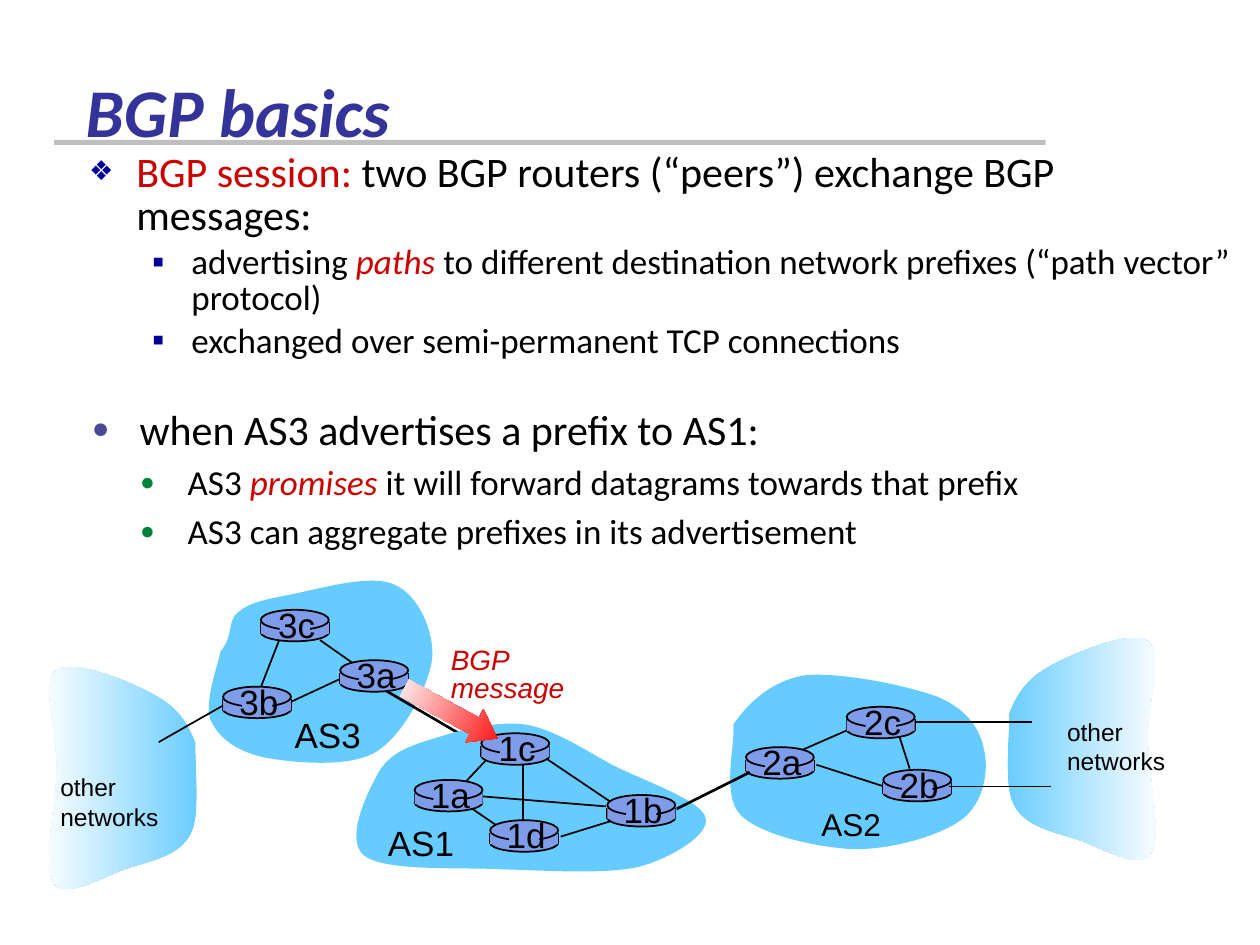
from dataclasses import dataclass
from typing import NamedTuple

from lxml import etree
from pptx import Presentation
from pptx.dml.color import RGBColor
from pptx.enum.shapes import MSO_CONNECTOR, MSO_SHAPE
from pptx.enum.text import MSO_ANCHOR, MSO_AUTO_SIZE, PP_ALIGN
from pptx.oxml.ns import qn
from pptx.util import Cm, Pt

RECT, OVAL, LEFT_ARROW = MSO_SHAPE.RECTANGLE, MSO_SHAPE.OVAL, MSO_SHAPE.LEFT_ARROW
STRAIGHT = MSO_CONNECTOR.STRAIGHT
BOTTOM, TOP = MSO_ANCHOR.BOTTOM, MSO_ANCHOR.TOP
LEFT, CENTER = PP_ALIGN.LEFT, PP_ALIGN.CENTER
NO_FIT = MSO_AUTO_SIZE.NONE

UNIT = 2.54  # one layout unit in cm; the slide is 10 by 7.5 units


@dataclass(frozen=True)
class Theme:
    title: str = "333399"
    rule: str = "BFBFBF"
    text: str = "000000"
    accent: str = "CC0000"
    cloud: str = "66CCFF"
    router: str = "7E9CE8"
    arrow: str = "FF0000"
    fade: str = "FFFFFF"
    list_font: str = "Calibri"
    label_font: str = "Arial"
    title_size: float = 39
    level_sizes: tuple = (24, 20)
    label_size: float = 20
    as2_size: float = 18
    message_size: float = 16
    other_size: float = 14


class Piece(NamedTuple):
    text: str
    emphasis: bool = False
    italic: bool = False


class Bullet(NamedTuple):
    char: str
    color: str
    percent: int
    indent: Cm
    hang: Cm


class Item(NamedTuple):
    level: int
    pieces: list


class Router(NamedTuple):
    name: str
    x: float
    y: float


class Link(NamedTuple):
    x1: float
    y1: float
    x2: float
    y2: float
    width: float = 1


class Label(NamedTuple):
    lines: tuple
    box: tuple
    size: float
    color: str = Theme.text
    italic: bool = False
    align: PP_ALIGN = LEFT
    spacing: float = 1


THEME = Theme()

SESSION_BULLETS = (Bullet("❖", "000099", 65, Cm(0.95), Cm(0.95)),
                   Bullet("▪", "000099", 100, Cm(2.06), Cm(0.79)))
PREFIX_BULLETS = (Bullet("●", "4A4A97", 70, Cm(0.96), Cm(0.96)),
                  Bullet("●", "00843C", 70, Cm(1.93), Cm(0.96)))
SESSION_LIST = [
    Item(0, [Piece("BGP session: ", True), Piece("two BGP routers (“peers”) exchange BGP messages:")]),
    Item(1, [Piece("advertising "), Piece("paths ", True, True),
             Piece("to different destination network prefixes (“path vector” protocol)")]),
    Item(1, [Piece("exchanged over semi-permanent TCP connections")]),
]
PREFIX_LIST = [
    Item(0, [Piece("when AS3 advertises a prefix to AS1:")]),
    Item(1, [Piece("AS3 "), Piece("promises", True, True),
             Piece(" it will forward datagrams towards that prefix")]),
    Item(1, [Piece("AS3 can aggregate prefixes in its advertisement")]),
]

# Cloud outlines: the start point, then two control points and an end point per curve
OTHER_CLOUD = [(8.01, 5.67), (8.07, 5.51), (8.15, 5.39), (8.33, 5.29), (8.51, 5.19), (8.98, 4.99),
               (9.11, 5.09), (9.24, 5.18), (9.1, 5.59), (9.11, 5.87), (9.11, 6.16), (9.23, 6.65),
               (9.13, 6.78), (9.04, 6.91), (8.73, 6.72), (8.55, 6.66), (8.36, 6.6), (8.14, 6.56),
               (8.05, 6.39), (7.96, 6.23), (8.02, 5.82), (8.01, 5.67)]
AS2_CLOUD = [(5.82, 5.75), (5.93, 5.59), (6.12, 5.4), (6.39, 5.36), (6.66, 5.33), (7.2, 5.44),
             (7.44, 5.53), (7.68, 5.63), (7.78, 5.79), (7.81, 5.95), (7.85, 6.11), (7.81, 6.37),
             (7.64, 6.5), (7.47, 6.63), (7.09, 6.74), (6.79, 6.74), (6.5, 6.73), (6.04, 6.63),
             (5.88, 6.47), (5.72, 6.31), (5.84, 5.9), (5.82, 5.75)]
AS3_CLOUD = [(1.75, 5.17), (1.86, 5.04), (1.8, 4.93), (1.89, 4.86), (1.98, 4.78), (2.1, 4.76),
             (2.3, 4.72), (2.51, 4.68), (2.94, 4.55), (3.13, 4.64), (3.32, 4.72), (3.45, 5.01),
             (3.43, 5.23), (3.4, 5.45), (3.2, 5.84), (2.98, 5.97), (2.76, 6.1), (2.3, 6.05),
             (2.09, 6.01), (1.87, 5.96), (1.73, 5.85), (1.67, 5.71), (1.62, 5.57), (1.73, 5.28),
             (1.75, 5.17)]
AS1_CLOUD = [(3.01, 6.12), (3.11, 5.96), (3.28, 5.91), (3.48, 5.85), (3.67, 5.79), (3.94, 5.72),
             (4.17, 5.75), (4.4, 5.79), (4.62, 5.94), (4.86, 6.07), (5.09, 6.19), (5.57, 6.35),
             (5.6, 6.49), (5.64, 6.62), (5.33, 6.81), (5.07, 6.88), (4.8, 6.94), (4.36, 6.91),
             (4, 6.9), (3.64, 6.88), (3.06, 6.92), (2.89, 6.79), (2.73, 6.66), (2.92, 6.28),
             (3.01, 6.12)]

AS3_LINKS = [Link(2.31, 5.57, 2.74, 5.37), Link(2.81, 5.27, 2.54, 5.08), Link(2.22, 5.07, 2.06, 5.48),
             Link(3.06, 5.48, 3.83, 5.93, 1.5)]
INNER_LINKS = [Link(3.87, 6.02, 3.7, 6.2), Link(4.15, 6.06, 4.15, 6.56), Link(4.32, 6.01, 4.87, 6.38),
               Link(4.87, 6.51, 4.45, 6.64), Link(4.81, 6.4, 3.82, 6.32), Link(3.72, 6.4, 3.94, 6.55),
               Link(6.28, 5.99, 6.76, 5.78), Link(6.48, 6.07, 7.01, 6.24), Link(7.14, 5.85, 7.22, 6.1)]
OUTER_LINKS = [Link(7.26, 5.73, 8.19, 5.73, 0.75), Link(7.53, 6.24, 8.34, 6.24, 0.75),
               Link(1.77, 5.6, 1.26, 5.89), Link(5.37, 6.42, 5.95, 6.13, 1.5)]
ROUTERS = [Router("3b", 1.77, 5.45), Router("3c", 2.07, 4.84), Router("3a", 2.7, 5.24),
           Router("1c", 3.82, 5.82), Router("1a", 3.29, 6.19), Router("1d", 3.89, 6.51),
           Router("1b", 4.82, 6.31), Router("2a", 5.92, 5.93), Router("2c", 6.72, 5.61),
           Router("2b", 7.01, 6.11)]
LABELS = [Label(("AS3",), (2.24, 5.61, 0.73, 0.43), THEME.label_size),
          Label(("AS1",), (2.98, 6.47, 0.73, 0.43), THEME.label_size),
          Label(("AS2",), (6.42, 6.34, 0.67, 0.4), THEME.as2_size),
          Label(("other", "networks"), (8.37, 5.64, 0.98, 0.57), THEME.other_size),
          Label(("other", "networks"), (0.38, 6.08, 0.98, 0.57), THEME.other_size),
          Label(("BGP", "message"), (3.48, 5.09, 1.1, 0.56), THEME.message_size,
                THEME.accent, True, LEFT, 0.85)]


def units(*values: float) -> list:
    return [Cm(value * UNIT) for value in values]


def rgb(color: str) -> RGBColor:
    return RGBColor.from_string(color)


def apply(target, **formats) -> None:
    for key, value in formats.items():
        setattr(target, key, value)


def add_run(paragraph, text: str, color: str, **formats) -> None:
    run = paragraph.add_run()
    run.text = text
    apply(run.font, **formats)
    run.font.color.rgb = rgb(color)


def paint(shape, colors: tuple, outlined: bool = False) -> None:
    """Fill with one colour, or with a gradient from the first to the second."""
    shape.shadow.inherit = False
    if len(colors) == 1:
        shape.fill.solid()
        shape.fill.fore_color.rgb = rgb(colors[0])
    else:
        shape.fill.gradient()
        shape.fill.gradient_angle = 0
        for stop, color in zip(shape.fill.gradient_stops, colors):
            stop.color.rgb = rgb(color)
    if outlined:
        shape.line.color.rgb = rgb(THEME.text)
        shape.line.width = Pt(1)
    else:
        shape.line.fill.background()


def draw_shape(shapes, kind, box: tuple, *colors: str, outlined: bool = False):
    shape = shapes.add_shape(kind, *units(*box))
    paint(shape, colors, outlined)
    return shape


def draw_link(shapes, link: Link) -> None:
    connector = shapes.add_connector(STRAIGHT, *units(*link[:4]))
    connector.line.color.rgb = rgb(THEME.text)
    connector.line.width = Pt(link.width)
    etree.SubElement(connector.element.spPr, qn("a:effectLst"))


def draw_cloud(shapes, outline: list, *colors: str):
    builder = shapes.build_freeform(*units(*outline[0]))
    builder.add_line_segments([units(*point) for point in outline[1:]], close=True)
    cloud = builder.convert_to_shape()
    # Join every three segments into one Bezier curve
    segments = list(cloud.element.iter(qn("a:lnTo")))
    for i in range(0, len(segments), 3):
        curve = etree.Element(qn("a:cubicBezTo"))
        segments[i].addprevious(curve)
        for segment in segments[i:i + 3]:
            curve.append(segment[0])
            segment.getparent().remove(segment)
    paint(cloud, colors)
    return cloud


def draw_label(shapes, label: Label) -> None:
    frame = shapes.add_textbox(*units(*label.box)).text_frame
    frame.word_wrap = False
    for i, line in enumerate(label.lines):
        paragraph = frame.add_paragraph() if i else frame.paragraphs[0]
        apply(paragraph, alignment=label.align, line_spacing=label.spacing)
        add_run(paragraph, line, label.color, name=THEME.label_font,
                size=Pt(label.size), italic=label.italic)


def draw_router(shapes, router: Router) -> None:
    name, x, y = router
    parts = shapes.add_group_shape().shapes
    draw_shape(parts, OVAL, (x, y + 0.11, 0.54, 0.14), THEME.router, outlined=True)
    for side in (x, x + 0.54):
        draw_link(parts, Link(side, y + 0.1, side, y + 0.19))
    draw_shape(parts, RECT, (x, y + 0.1, 0.54, 0.09), THEME.router)
    draw_shape(parts, OVAL, (x, y, 0.54, 0.16), THEME.router, outlined=True)
    draw_shape(parts, RECT, (x + 0.15, y + 0.02, 0.24, 0.2), THEME.router)
    draw_label(parts, Label((name,), (x + 0.03, y - 0.1, 0.51, 0.43), THEME.label_size, align=CENTER))


def add_bullet(paragraph, bullet: Bullet) -> None:
    properties = paragraph._p.get_or_add_pPr()
    properties.set("marL", str(bullet.indent))
    properties.set("indent", str(-bullet.hang))
    color = etree.SubElement(properties, qn("a:buClr"))
    etree.SubElement(color, qn("a:srgbClr"), val=bullet.color)
    etree.SubElement(properties, qn("a:buSzPct"), val=str(bullet.percent * 1000))
    etree.SubElement(properties, qn("a:buFont"), typeface=THEME.label_font)
    etree.SubElement(properties, qn("a:buChar"), char=bullet.char)


def fill_list(frame, items: list, bullets: tuple, spacing: float) -> None:
    apply(frame, word_wrap=True, auto_size=NO_FIT, vertical_anchor=TOP)
    for i, item in enumerate(items):
        paragraph = frame.add_paragraph() if i else frame.paragraphs[0]
        add_bullet(paragraph, bullets[item.level])
        apply(paragraph, level=item.level, alignment=LEFT, line_spacing=spacing,
              space_before=Pt(4 if i else 0))
        for piece in item.pieces:
            add_run(paragraph, piece.text, THEME.accent if piece.emphasis else THEME.text,
                    name=THEME.list_font, size=Pt(THEME.level_sizes[item.level]), italic=piece.italic)


def place(shape, *box: float) -> None:
    apply(shape, **dict(zip(("left", "top", "width", "height"), units(*box))))


def main() -> None:
    prs = Presentation()
    prs.slide_width, prs.slide_height = units(10, 7.5)
    slide = prs.slides.add_slide(prs.slide_layouts[1])
    shapes = slide.shapes

    # Title over its grey rule
    title, body = shapes.title, slide.placeholders[1]
    place(title, 0.58, 0, 8.5, 1.25)
    apply(title.text_frame, vertical_anchor=BOTTOM, auto_size=NO_FIT)
    heading = title.text_frame.paragraphs[0]
    heading.alignment = LEFT
    add_run(heading, "BGP basics", THEME.title, name=THEME.list_font,
            size=Pt(THEME.title_size), bold=True, italic=True)
    rule = draw_shape(shapes, RECT, (0.43, 1.11, 7.87, 0.04), THEME.rule)
    title.element.addprevious(rule.element)

    # Lists
    place(body, 0.63, 3.15, 9.3, 2.57)
    fill_list(body.text_frame, PREFIX_LIST, PREFIX_BULLETS, 1)
    session = shapes.add_textbox(*units(0.61, 1.17, 9.3, 2.18))
    fill_list(session.text_frame, SESSION_LIST, SESSION_BULLETS, 0.85)

    # Networks; the left one mirrors the right, the AS1 cloud covers the end of the AS3 link
    draw_cloud(shapes, OTHER_CLOUD, THEME.cloud, THEME.fade)
    left_cloud = draw_cloud(shapes, OTHER_CLOUD, THEME.cloud, THEME.fade)
    place(left_cloud, 0.32, 5.22)
    left_cloud.element.spPr.find(qn("a:xfrm")).set("flipH", "1")
    for cloud in (AS2_CLOUD, AS3_CLOUD):
        draw_cloud(shapes, cloud, THEME.cloud)
    for link in AS3_LINKS:
        draw_link(shapes, link)
    draw_cloud(shapes, AS1_CLOUD, THEME.cloud)
    for link in INNER_LINKS:
        draw_link(shapes, link)
    for router in ROUTERS:
        draw_router(shapes, router)
    for link in OUTER_LINKS:
        draw_link(shapes, link)

    # Message arrow and labels
    arrow = draw_shape(shapes, LEFT_ARROW, (3.16, 5.51, 0.84, 0.3), THEME.arrow, THEME.fade)
    arrow.rotation = 208.5
    arrow.adjustments[1] = 0.7
    for label in LABELS:
        draw_label(shapes, label)

    prs.save("out.pptx")


if __name__ == "__main__":
    main()
